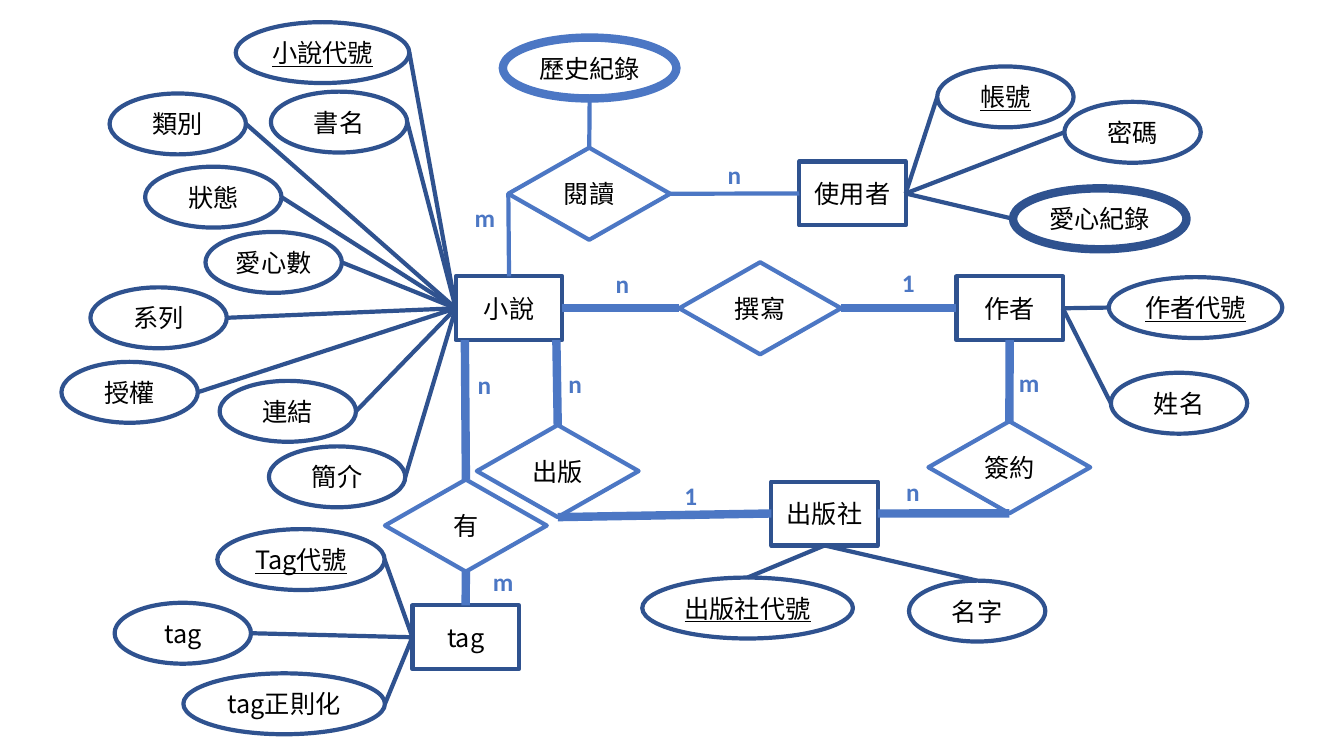
from lxml import etree
from pptx import Presentation
from pptx.dml.color import RGBColor
from pptx.enum.shapes import MSO_CONNECTOR, MSO_SHAPE
from pptx.enum.text import MSO_ANCHOR, MSO_AUTO_SIZE, PP_ALIGN
from pptx.oxml.ns import qn
from pptx.util import Pt

RECT = MSO_SHAPE.RECTANGLE
OVAL = MSO_SHAPE.OVAL
RHOMB = MSO_SHAPE.FLOWCHART_DECISION
LINE = MSO_CONNECTOR.STRAIGHT
MIDDLE = MSO_ANCHOR.MIDDLE
CENTER = PP_ALIGN.CENTER
GROW = MSO_AUTO_SIZE.SHAPE_TO_FIT_TEXT

NAVY = RGBColor(0x2F, 0x52, 0x8F)
BLUE = RGBColor(0x4C, 0x77, 0xC4)
BLACK = RGBColor(0, 0, 0)
HAN = "Noto Sans CJK SC"
LATIN = "Calibri"
THIN, THICK = 3, 6
SHORT, LONG = 97.4, 124

LEFT, RIGHT, TOP, BOTTOM = (-1, 0), (1, 0), (0, -1), (0, 1)

ENTITIES = {
    "使用者": (608.9, 138.2),
    "小說": (363.6, 220.2),
    "作者": (721.2, 220.2),
    "tag": (332.6, 455.2),
    "出版社": (589, 366.8),
}

RELATIONS = {
    "閱讀": (420.9, 138.4),
    "出版": (398.4, 336.5),
    "撰寫": (543, 220.2),
    "簽約": (721, 333.8),
    "有": (332.8, 375.4),
}

# entity, side of the entity, side of the oval, (text, x, y, width, is key)
ATTRIBUTES = [
    ("小說", LEFT, RIGHT, [
        ("小說代號", 230.4, 37.6, LONG, True),
        ("書名", 242.2, 87.2, SHORT, False),
        ("類別", 127, 88.5, SHORT, False),
        ("狀態", 152.4, 140.8, SHORT, False),
        ("愛心數", 195.5, 187.4, SHORT, False),
        ("系列", 113.3, 227, SHORT, False),
        ("授權", 92.6, 280.2, SHORT, False),
        ("連結", 205.6, 293.8, SHORT, False),
        ("簡介", 240.8, 340.6, SHORT, False),
    ]),
    ("tag", LEFT, RIGHT, [
        ("Tag代號", 215, 399.7, 119.5, True),
        ("tag", 130.6, 452.3, SHORT, False),
        ("tag正則化", 203, 502.7, 144, False),
    ]),
    ("使用者", RIGHT, LEFT, [
        ("帳號", 718.2, 69.2, SHORT, True),
        ("密碼", 809, 94.5, SHORT, False),
        ("愛心紀錄", 785.6, 156.3, LONG, False),
    ]),
    ("作者", RIGHT, LEFT, [
        ("作者代號", 854, 219.7, LONG, True),
        ("姓名", 842.2, 288, SHORT, False),
    ]),
    ("出版社", BOTTOM, TOP, [
        ("出版社代號", 534, 434.3, 150.5, True),
        ("名字", 698, 436.5, SHORT, False),
    ]),
]
MULTI = "愛心紀錄"

TIES = [
    ("小說", TOP, "閱讀", LEFT, THIN),
    ("閱讀", RIGHT, "使用者", LEFT, THIN),
    ("小說", RIGHT, "撰寫", LEFT, THICK),
    ("撰寫", RIGHT, "作者", LEFT, THICK),
    ("小說", (0.89, 1), "出版", TOP, THICK),
    ("出版", BOTTOM, "出版社", LEFT, THICK),
    ("作者", BOTTOM, "簽約", TOP, THICK),
    ("簽約", BOTTOM, "出版社", RIGHT, THICK),
    ("小說", (-0.83, 1), "有", TOP, THICK),
    ("有", BOTTOM, "tag", TOP, THICK),
]

COUNTS = [
    ("m", 331.9, 141.1), ("n", 512.6, 110.2),
    ("n", 432.7, 187.9), ("1", 637.2, 187.2),
    ("n", 398.9, 259.2), ("1", 481.7, 339.8),
    ("m", 720.7, 258.5), ("n", 640.1, 337),
    ("n", 334.1, 259.9), ("m", 344.9, 401),
]


def style(para, face, color):
    font = para.font
    font.size = Pt(18)
    font.color.rgb = color
    font.name = face
    props = para._p.pPr.find(qn("a:defRPr"))
    etree.SubElement(props, qn("a:ea"), typeface=face)
    return font


def add_node(slide, kind, text, x, y, wide, high, color, width=THIN, key=False):
    node = slide.shapes.add_shape(
        kind, Pt(x - wide / 2), Pt(y - high / 2), Pt(wide), Pt(high))
    node.shadow.inherit = False
    node.fill.background()
    node.line.color.rgb = color
    node.line.width = Pt(width)
    frame = node.text_frame
    frame.margin_left = frame.margin_right = Pt(0)
    frame.vertical_anchor = MIDDLE
    para = frame.paragraphs[0]
    para.text = text
    para.alignment = CENTER
    font = style(para, HAN, BLACK)
    if key:
        font.underline = True
    return node


def add_oval(slide, text, x, y, wide, key, color=NAVY, width=THIN):
    return add_node(slide, OVAL, text, x, y, wide, 43.5, color, width, key)


def find_spot(node, side):
    return (int(node.left + node.width * (1 + side[0]) / 2),
            int(node.top + node.height * (1 + side[1]) / 2))


def add_tie(slide, start, side, end, other, color, width=THIN):
    tie = slide.shapes.add_connector(
        LINE, *find_spot(start, side), *find_spot(end, other))
    tie.line.color.rgb = color
    tie.line.width = Pt(width)
    etree.SubElement(tie._element.spPr, qn("a:effectLst"))


def add_count(slide, text, x, y):
    wide = 29.5 if text == "m" else 24.3
    box = slide.shapes.add_textbox(Pt(x), Pt(y), Pt(wide), Pt(29))
    frame = box.text_frame
    frame.word_wrap = False
    frame.auto_size = GROW
    para = frame.paragraphs[0]
    para.text = text
    style(para, LATIN, BLUE).bold = True


def main():
    deck = Presentation()
    deck.slide_width, deck.slide_height = Pt(960), Pt(540)
    slide = deck.slides.add_slide(deck.slide_layouts[6])

    nodes = {}
    for name, (x, y) in ENTITIES.items():
        nodes[name] = add_node(slide, RECT, name, x, y, 76, 45.6, NAVY)
    for name, (x, y) in RELATIONS.items():
        nodes[name] = add_node(slide, RHOMB, name, x, y, 115.6, 65.8, BLUE)

    for name, side, other, ovals in ATTRIBUTES:
        for text, x, y, wide, key in ovals:
            width = THICK if text == MULTI else THIN
            oval = add_oval(slide, text, x, y, wide, key, width=width)
            add_tie(slide, nodes[name], side, oval, other, NAVY)

    past = add_oval(slide, "歷史紀錄", 421.2, 48.6, LONG, False, BLUE, THICK)
    add_tie(slide, nodes["閱讀"], TOP, past, BOTTOM, BLUE)

    for start, side, end, other, width in TIES:
        add_tie(slide, nodes[start], side, nodes[end], other, BLUE, width)
    for count in COUNTS:
        add_count(slide, *count)

    deck.save("out.pptx")


if __name__ == "__main__":
    main()
